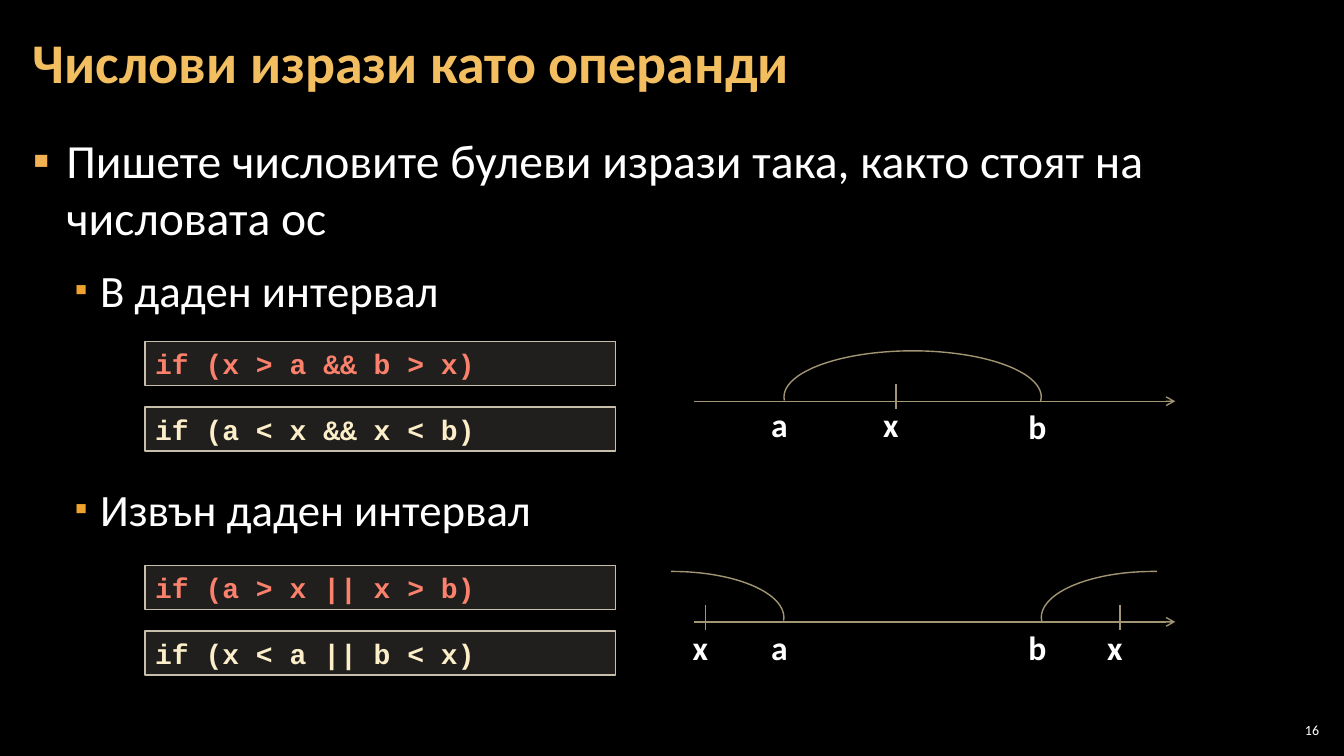
import pptx
import pptx.dml.color
import pptx.enum.shapes
import pptx.enum.text
import pptx.oxml
import pptx.oxml.ns
import pptx.util

Pt = pptx.util.Pt
RGBColor = pptx.dml.color.RGBColor
Shape = pptx.enum.shapes.MSO_SHAPE
Anchor = pptx.enum.text.MSO_ANCHOR
Align = pptx.enum.text.PP_ALIGN

BLACK = RGBColor(0x00, 0x00, 0x00)
WHITE = RGBColor(0xFF, 0xFF, 0xFF)
GOLD = RGBColor(0xF3, 0xBE, 0x60)
BULLET = RGBColor(0xF2, 0xB2, 0x54)
SUB_BULLET = RGBColor(0xF0, 0xA2, 0x2E)
PANEL = RGBColor(0xD9, 0xD5, 0xC7)
PANEL_EDGE = RGBColor(0xC7, 0xBF, 0xAC)
AXIS = RGBColor(0xA1, 0x95, 0x74)
WRONG = RGBColor(0xFB, 0x81, 0x6D)
RIGHT = RGBColor(0xFB, 0xEE, 0xC9)


def add_element(parent, tag, **attributes):
    element = pptx.oxml.parse_xml(f"<a:{tag} {pptx.oxml.ns.nsdecls('a')}/>")
    for name, value in attributes.items():
        element.set(name, str(value))
    parent.append(element)
    return element


def write(para, text, size=24, color=WHITE, font="Calibri", bold=False,
          align=Align.LEFT, before=0, after=0):
    para.alignment = align
    para.space_before, para.space_after = Pt(before), Pt(after)
    span = para.add_run()
    span.text = text
    span.font.size, span.font.bold = Pt(size), bold
    span.font.name, span.font.color.rgb = font, color


class Page:
    def __init__(self, deck):
        self.slide = deck.slides.add_slide(deck.slide_layouts[5])
        self.shapes = self.slide.shapes
        self.slide.background.fill.solid()
        self.slide.background.fill.fore_color.rgb = BLACK

    def frame(self, box, insets=(7.2, 3.6), anchor=Anchor.TOP):
        frame = box.text_frame
        frame.word_wrap = True
        frame.vertical_anchor = anchor
        frame.margin_left = frame.margin_right = Pt(insets[0])
        frame.margin_top = frame.margin_bottom = Pt(insets[1])
        return frame

    def textbox(self, left, top, width, height, **layout):
        box = self.shapes.add_textbox(Pt(left), Pt(top), Pt(width), Pt(height))
        return self.frame(box, **layout)

    def title(self, text):
        box = self.shapes.title
        box.left, box.top, box.width, box.height = Pt(15), Pt(3), Pt(930), Pt(87)
        frame = self.frame(box, insets=(8.5, 2.8), anchor=Anchor.MIDDLE)
        frame.auto_size = pptx.enum.text.MSO_AUTO_SIZE.NONE
        para = frame.paragraphs[0]
        para.line_spacing = 0.9
        write(para, text, size=40, color=GOLD, bold=True)

    def outline(self, items):
        frame = self.textbox(15, 91, 930, 438, insets=(8.5, 2.8))
        for index, (text, level, before) in enumerate(items):
            para = frame.paragraphs[0] if index == 0 else frame.add_paragraph()
            para.level = level
            settings = para._p.get_or_add_pPr()
            settings.set("marL", str(Pt(48 if level else 24)))
            settings.set("indent", str(Pt(-18 if level else -24)))
            color = add_element(settings, "buClr")
            add_element(color, "srgbClr", val=SUB_BULLET if level else BULLET)
            if level:
                add_element(settings, "buSzPct", val=80000)
            add_element(settings, "buFont", typeface="Wingdings")
            settings[-1].set("typeface", "Calibri")
            add_element(settings, "buChar", char="▪")
            write(para, text, size=32 if level else 34, before=before, after=6)

    def code(self, text, top, color):
        box = self.shapes.add_shape(Shape.RECTANGLE, Pt(103.7), Pt(top), Pt(336), Pt(31.5))
        box.shadow.inherit = False
        box.fill.solid()
        box.fill.fore_color.rgb = PANEL
        add_element(box.fill._xPr.find(".//" + pptx.oxml.ns.qn("a:srgbClr")), "alpha", val=15000)
        box.line.color.rgb, box.line.width = PANEL_EDGE, Pt(1)
        write(self.frame(box).paragraphs[0], text, size=20, color=color,
              font="Courier New", bold=True)

    def line(self, left, top, right, bottom, arrow=False):
        line = self.shapes.add_connector(
            pptx.enum.shapes.MSO_CONNECTOR.STRAIGHT, Pt(left), Pt(top), Pt(right), Pt(bottom))
        line.line.color.rgb, line.line.width = AXIS, Pt(1)
        if arrow:
            add_element(line.line._get_or_add_ln(), "tailEnd", type="arrow")
        add_element(line._element.spPr, "effectLst")

    def arc(self, left, top, width, start, end):
        arc = self.shapes.add_shape(Shape.ARC, Pt(left), Pt(top), Pt(width), Pt(66))
        arc.shadow.inherit = False
        arc.adjustments[0], arc.adjustments[1] = start * 0.6, end * 0.6
        arc.fill.background()
        arc.line.color.rgb, arc.line.width = AXIS, Pt(1)

    def number_line(self, level, arcs, ticks, labels):
        self.line(496, level, 839.5, level, arrow=True)
        for left, width, start, end in arcs:
            self.arc(left, level - 36, width, start, end)
        for x in ticks:
            self.line(x, level - 12.3, x, level + 5.7)
        for text, x, drop in labels:
            frame = self.textbox(x - 16.3, level + drop, 40, 37.5)
            write(frame.paragraphs[0], text, bold=True)

    def number(self, text):
        frame = self.textbox(911, 514, 34, 15, insets=(2.8, 2.8), anchor=Anchor.MIDDLE)
        write(frame.paragraphs[0], text, size=10, align=Align.RIGHT)


def main():
    deck = pptx.Presentation()
    deck.slide_width, deck.slide_height = Pt(960), Pt(540)
    page = Page(deck)
    page.title("Числови изрази като операнди")
    page.outline([
        ("Пишете числовите булеви изрази така, както стоят на числовата ос", 0, 0),
        ("В даден интервал", 1, 6),
        ("Извън даден интервал", 1, 112),
    ])
    for top, wrong, right in [
        (244, "if (x > a && b > x)", "if (a < x && x < b)"),
        (404, "if (a > x || x > b)", "if (x < a || b < x)"),
    ]:
        page.code(wrong, top, WRONG)
        page.code(right, top + 46.8, RIGHT)

    a, b = 560, 743.8
    inside, below, above = 640, 504, 800
    page.number_line(286.6, [(a, b - a, 178.44, 2.28)], [inside],
                     [("a", a, -1.5), ("b", b, 0), ("x", inside, -1.5)])
    page.number_line(444.2, [(a - 160, 160, 269.11, 1.55), (b, 160, 177.44, 274.57)],
                     [below, above],
                     [("a", a, 0), ("b", b, 0), ("x", below, 0), ("x", above, 0)])
    page.number("16")
    deck.save("out.pptx")


if __name__ == "__main__":
    main()
